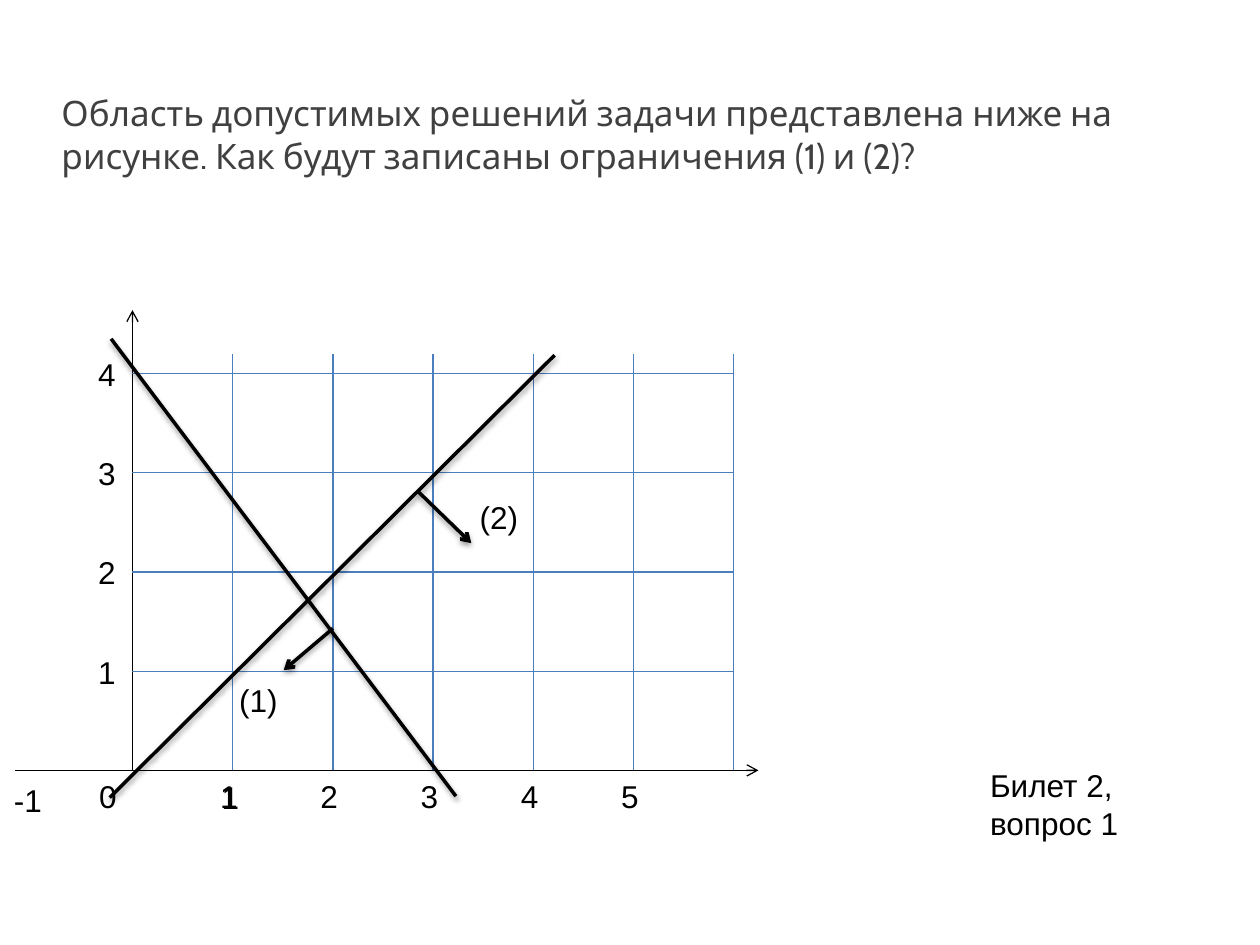
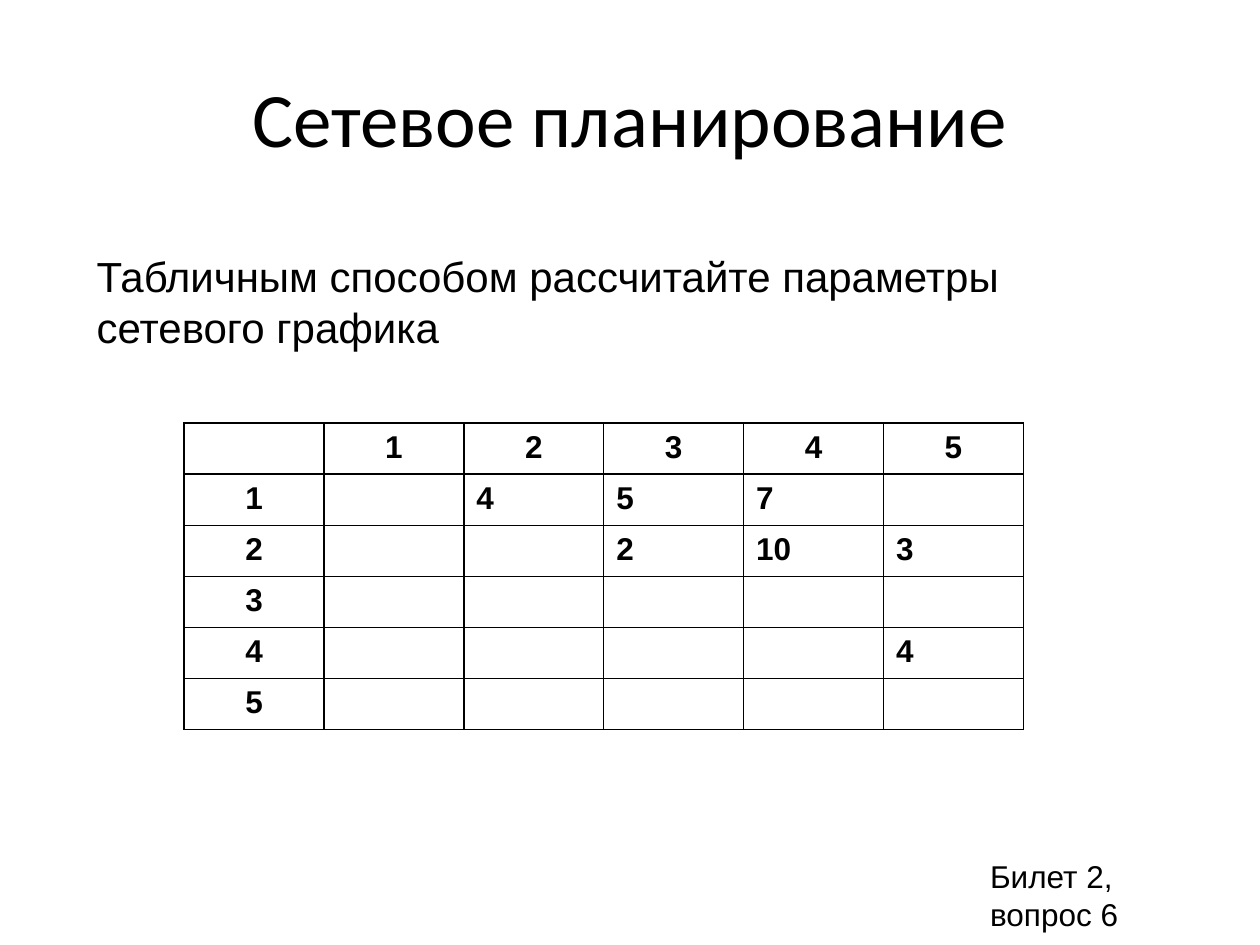
from lxml import etree
from pptx import Presentation
from pptx.dml.color import RGBColor
from pptx.enum.shapes import MSO_CONNECTOR
from pptx.enum.text import MSO_ANCHOR, MSO_AUTO_SIZE, PP_ALIGN
from pptx.oxml import parse_xml
from pptx.oxml.ns import nsdecls, qn
from pptx.util import Cm, Pt

STRAIGHT = MSO_CONNECTOR.STRAIGHT
LEFT, CENTER = PP_ALIGN.LEFT, PP_ALIGN.CENTER
TOP, MIDDLE = MSO_ANCHOR.TOP, MSO_ANCHOR.MIDDLE
GROW = MSO_AUTO_SIZE.SHAPE_TO_FIT_TEXT
FIXED = MSO_AUTO_SIZE.NONE

BLACK, GRAY, GRID_BLUE = "000000", "404040", "4B7EBC"
BODY_FONT, TITLE_FONT, QUESTION_FONT = "Arial", "Calibri", "Cabin"

SHADOW = (
    f'<a:effectLst {nsdecls("a")}>'
    '<a:outerShdw blurRad="40000" dist="20000" dir="5400000" rotWithShape="0">'
    '<a:srgbClr val="000000"><a:alpha val="38000"/></a:srgbClr>'
    '</a:outerShdw></a:effectLst>'
)
NO_SHADOW = f'<a:effectLst {nsdecls("a")}/>'
CELL_BORDER = (
    '<a:{side} {ns} w="12700"><a:solidFill><a:srgbClr val="{color}"/></a:solidFill></a:{side}>'
)


def rgb(hex_color):
    return RGBColor.from_string(hex_color)


class Deck:
    """Holds the presentation, its style and the slide being drawn."""

    def __init__(self):
        self.prs = Presentation()
        self.prs.slide_width, self.prs.slide_height = Cm(25.4), Cm(19.05)
        self.s = None

    def new_slide(self):
        self.s = self.prs.slides.add_slide(self.prs.slide_layouts[6])

    def run(self, p, text, size=18, font=BODY_FONT, color=BLACK, bold=False):
        r = p.add_run()
        r.text = text
        r.font.size, r.font.name, r.font.bold = Pt(size), font, bold
        r.font.color.rgb = rgb(color)

    def text(self, text, x, y, w, h=1.03, align=LEFT, anchor=TOP, fit=GROW, **style):
        sp = self.s.shapes.add_textbox(Cm(x), Cm(y), Cm(w), Cm(h))
        tf = sp.text_frame
        tf.word_wrap, tf.auto_size, tf.vertical_anchor = True, fit, anchor
        p = tf.paragraphs[0]
        p.alignment = align
        self.run(p, text, **style)

    def line(self, x1, y1, x2, y2, color=BLACK, width=0.75, arrow=False, shadow=False):
        sp = self.s.shapes.add_connector(STRAIGHT, Cm(x1), Cm(y1), Cm(x2), Cm(y2))
        sp.line.color.rgb, sp.line.width = rgb(color), Pt(width)
        if arrow:
            etree.SubElement(sp.line._ln, qn("a:tailEnd"), type="arrow")
        sp._element.spPr.append(parse_xml(SHADOW if shadow else NO_SHADOW))

    def bold_line(self, x1, y1, x2, y2, arrow=False):
        self.line(x1, y1, x2, y2, width=2, arrow=arrow, shadow=True)

    def table(self, rows, x, y, col_width, row_height):
        """Draw a bordered table whose first row and first column are centred."""
        n_rows, n_cols = len(rows), len(rows[0])
        table = self.s.shapes.add_table(
            n_rows, n_cols, Cm(x), Cm(y), Cm(col_width * n_cols), Cm(row_height * n_rows)
        ).table
        table.first_row = table.horz_banding = False
        for column in table.columns:
            column.width = Cm(col_width)
        for i, values in enumerate(rows):
            table.rows[i].height = Cm(row_height)
            for j, value in enumerate(values):
                cell = table.cell(i, j)
                tc_pr = cell._tc.get_or_add_tcPr()
                for side in ("lnL", "lnR", "lnT", "lnB"):
                    tc_pr.append(parse_xml(
                        CELL_BORDER.format(side=side, ns=nsdecls("a"), color=BLACK)))
                cell.fill.background()
                if value:
                    p = cell.text_frame.paragraphs[0]
                    p.alignment = CENTER if 0 in (i, j) else LEFT
                    self.run(p, value, bold=True)

    def ticket(self, question, y):
        self.text(f"Билет 2, вопрос {question}", 19.71, y, 3.81, 1.8)


def constraints_slide(deck):
    deck.new_slide()
    deck.text(
        "Область допустимых решений задачи представлена ниже на рисунке. "
        "Как будут записаны ограничения (1) и (2)?",
        0.99, 1.73, 23.01, 1.96, size=20, font=QUESTION_FONT, color=GRAY)

    origin_x, origin_y, step_x, step_y = 2.67, 15.53, 2.02, 2
    grid_top, grid_right = 7.14, origin_x + 6 * step_x
    label_w, label_shift = 0.94, 0.5

    deck.line(origin_x, origin_y, origin_x, 6.25, arrow=True)
    deck.line(0.3, origin_y, 15.29, origin_y, arrow=True)
    for row in range(1, 5):
        y = origin_y - row * step_y
        deck.line(origin_x, y, grid_right, y, GRID_BLUE)
        deck.text(str(row), 1.73, y - label_shift, label_w)
    for col in range(1, 7):
        x = origin_x + col * step_x
        deck.line(x, grid_top, x, origin_y, GRID_BLUE)
        if col < 6:
            deck.text(str(col), x - label_shift, origin_y, label_w)
    deck.text("1", origin_x + step_x - label_shift + 0.03, origin_y + 0.03, label_w)
    deck.text("0", 1.75, origin_y, label_w)
    deck.text("-1", 0.03, 15.62, 1.35)

    deck.bold_line(2.21, 16.08, 11.18, 7.16)
    deck.bold_line(6.71, 12.67, 5.72, 13.51, arrow=True)
    deck.bold_line(8.43, 9.91, 9.5, 10.95, arrow=True)
    deck.bold_line(2.24, 6.83, 9.19, 16.05)
    deck.text("(1)", 4.57, 13.61, 1.6)
    deck.text("(2)", 9.42, 9.91, 1.6)
    deck.ticket(1, 15.32)


def network_slide(deck):
    deck.new_slide()
    deck.text("Сетевое планирование", 1.27, 0.76, 22.86, 3.18, align=CENTER,
              anchor=MIDDLE, fit=FIXED, size=44, font=TITLE_FONT)
    deck.text("Табличным способом рассчитайте параметры сетевого графика",
              1.7, 4.93, 20.19, 2.31, size=24)
    durations = [
        ["", "1", "2", "3", "4", "5"],
        ["1", "", "4", "5", "7", ""],
        ["2", "", "", "2", "10", "3"],
        ["3", "", "", "", "", ""],
        ["4", "", "", "", "", "4"],
        ["5", "", "", "", "", ""],
    ]
    deck.table(durations, 3.71, 8.53, col_width=2.82, row_height=1.03)
    deck.ticket(6, 17.15)


def main():
    deck = Deck()
    constraints_slide(deck)
    network_slide(deck)
    deck.prs.save("out.pptx")


if __name__ == "__main__":
    main()
